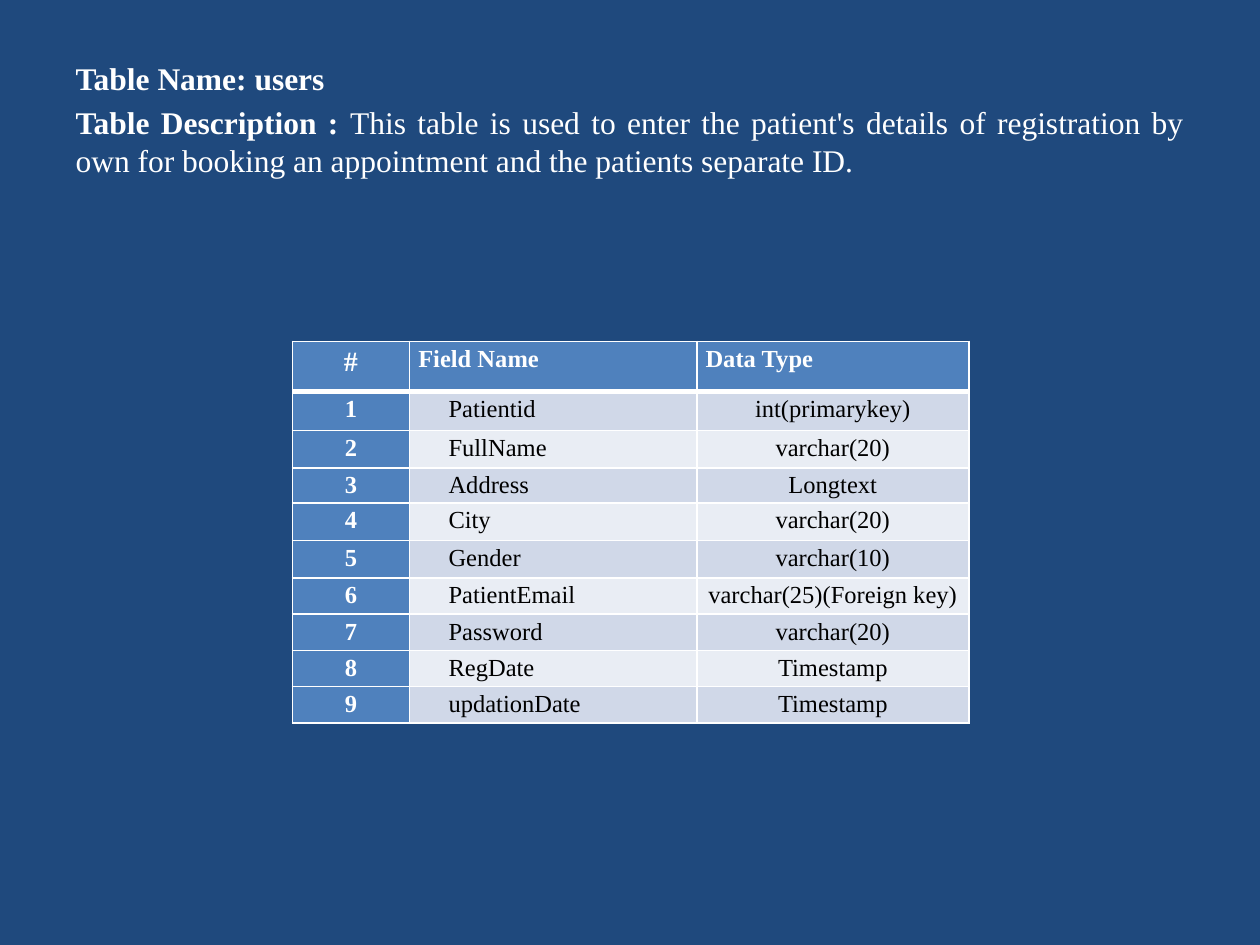
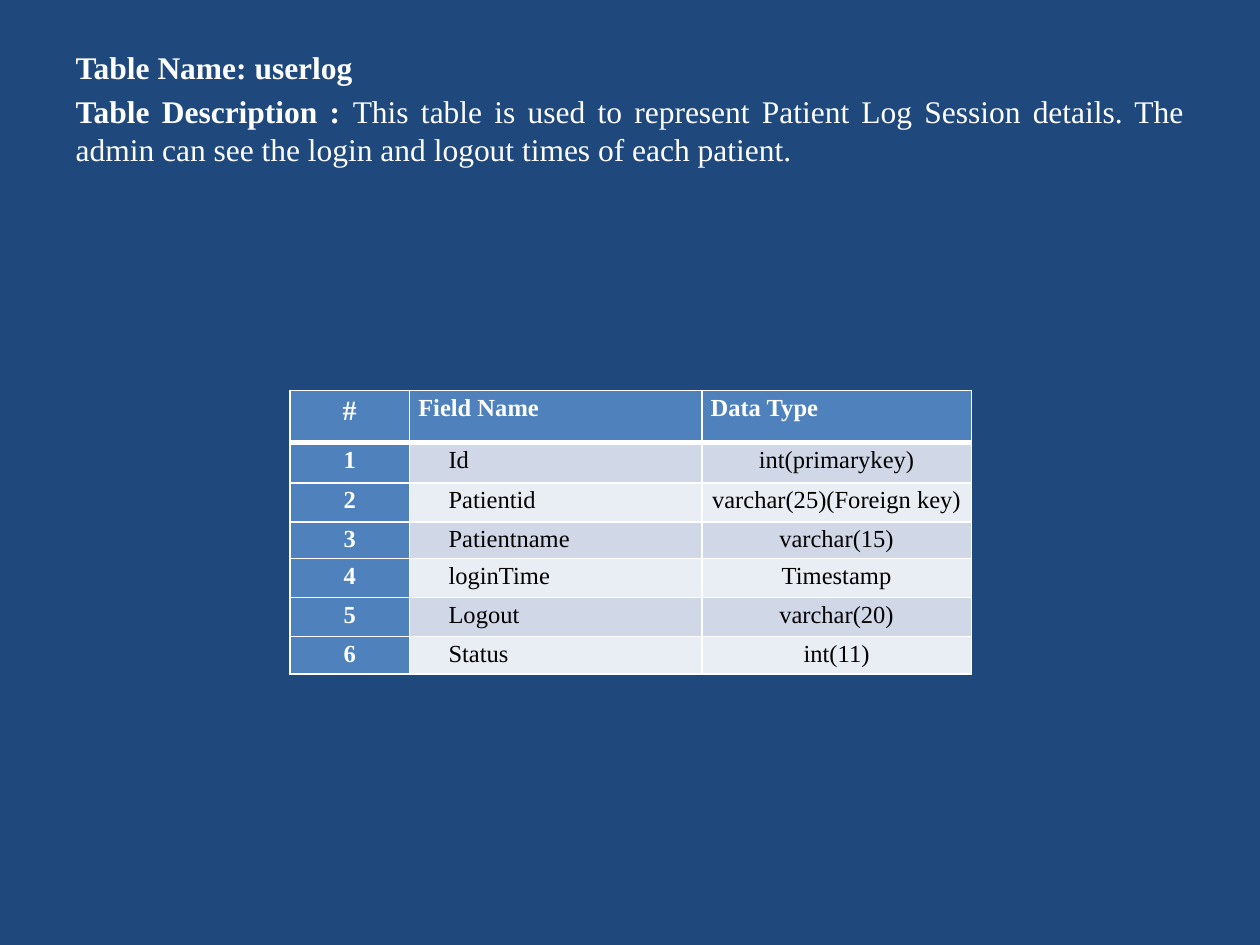
from lxml.etree import SubElement
from pptx import Presentation
from pptx.dml.color import RGBColor
from pptx.enum.text import MSO_ANCHOR, PP_ALIGN
from pptx.oxml.ns import qn
from pptx.util import Inches, Pt

NAVY = RGBColor(0x1F, 0x49, 0x7D)
BLUE = RGBColor(0x4F, 0x81, 0xBD)
BAND_DARK = RGBColor(0xD0, 0xD8, 0xE8)
BAND_LIGHT = RGBColor(0xE9, 0xED, 0xF4)
WHITE = RGBColor(0xFF, 0xFF, 0xFF)
BLACK = RGBColor(0, 0, 0)

FONT = "Times New Roman"
WIDTH, HEIGHT = 10, 7.5
ROW_WEIGHTS = (40, 31, 30, 28, 30, 30, 29, 29, 29, 29)
HEADINGS = ("#", "Field Name", "Data Type")
CELL_MARGIN, FIELD_INDENT = 0.07, 0.24
THIN, THICK = 1, 3

USERS = {
    "name": "users",
    "description": "This table is used to enter the patient's details of registration by own "
                   "for booking an appointment and the patients separate ID.",
    "fields": (
        ("Patientid", "int(primarykey)"),
        ("FullName", "varchar(20)"),
        ("Address", "Longtext"),
        ("City", "varchar(20)"),
        ("Gender", "varchar(10)"),
        ("PatientEmail", "varchar(25)(Foreign key)"),
        ("Password", "varchar(20)"),
        ("RegDate", "Timestamp"),
        ("updationDate", "Timestamp"),
    ),
    "text_top": 0.42,
    "grid_box": (2.32, 2.71, 5.37, 3.03),
    "column_weights": (93, 228, 216),
}
USERLOG = {
    "name": "userlog",
    "description": "This table is used to represent Patient Log Session details. The admin can "
                   "see the login and logout times of each patient.",
    "fields": (
        ("Id", "int(primarykey)"),
        ("Patientid", "varchar(25)(Foreign key)"),
        ("Patientname", "varchar(15)"),
        ("loginTime", "Timestamp"),
        ("Logout", "varchar(20)"),
        ("Status", "int(11)"),
    ),
    "text_top": 0.33,
    "grid_box": (2.3, 3.1, 5.41, 2.25),
    "column_weights": (95, 232, 214),
}


def style_font(font, size, color, bold=None):
    """Apply the common typeface with a size, colour and weight."""
    font.name, font.size, font.bold = FONT, Pt(size), bold
    font.color.rgb = color


def add_borders(cell, top, bottom):
    """Draw white borders around a cell, with its top and bottom widths in points."""
    properties = cell._tc.get_or_add_tcPr()
    for side, width in zip("LRTB", (THIN, THIN, top, bottom)):
        line = SubElement(properties, qn(f"a:ln{side}"), w=str(Pt(width)))
        fill = SubElement(line, qn("a:solidFill"))
        SubElement(fill, qn("a:srgbClr"), val=str(WHITE))


def add_description(slide, box, name, description):
    """Fill the body placeholder with the table's name and purpose."""
    body = slide.placeholders[1]
    body.left, body.top, body.width, body.height = map(Inches, box)
    frame = body.text_frame
    frame.vertical_anchor = MSO_ANCHOR.TOP
    lines = ((f"Table Name: {name}", ""), ("Table Description : ", description))
    for number, (label, detail) in enumerate(lines):
        paragraph = frame.add_paragraph() if number else frame.paragraphs[0]
        paragraph.alignment = PP_ALIGN.JUSTIFY
        style_font(paragraph.font, 18, WHITE)
        properties = paragraph._p.get_or_add_pPr()
        properties.set("marL", "0")
        properties.set("indent", "0")
        properties.insert_element_before(properties.makeelement(qn("a:buNone")), "a:defRPr")
        for text, bold in ((label, True), (detail, False)):
            if text:
                run = paragraph.add_run()
                run.text, run.font.bold = text, bold


def fill_cell(cell, text, row, column):
    """Write and style one cell according to its place in the grid."""
    is_heading, is_number = row == 0, column == 0
    is_field = column == 1 and not is_heading
    is_strong = is_heading or is_number
    cell.margin_left = Inches(CELL_MARGIN + FIELD_INDENT * is_field)
    cell.margin_right = Inches(CELL_MARGIN)
    cell.margin_top = cell.margin_bottom = 0
    add_borders(cell, THICK if row == 1 else THIN, THICK if is_heading else THIN)
    cell.fill.solid()
    band = BAND_DARK if row % 2 else BAND_LIGHT
    cell.fill.fore_color.rgb = BLUE if is_strong else band
    cell.text = text
    paragraph = cell.text_frame.paragraphs[0]
    paragraph.line_spacing = 1.15
    is_centred = is_number or (column == 2 and not is_heading)
    paragraph.alignment = PP_ALIGN.CENTER if is_centred else PP_ALIGN.LEFT
    style_font(paragraph.font, 16 if is_heading and is_number else 14,
               WHITE if is_strong else BLACK, is_strong)


def add_field_grid(slide, box, fields, column_weights):
    """Lay out the numbered fields and their data types within a box."""
    left, top, width, height = map(Inches, box)
    rows = [HEADINGS] + [(str(i), *field) for i, field in enumerate(fields, 1)]
    grid = slide.shapes.add_table(len(rows), len(HEADINGS), left, top, width, height).table
    grid.horz_banding = False
    row_weights = ROW_WEIGHTS[:len(rows)]
    for column, weight in zip(grid.columns, column_weights):
        column.width = int(width * weight / sum(column_weights))
    for row, weight in zip(grid.rows, row_weights):
        row.height = int(height * weight / sum(row_weights))
    for r, texts in enumerate(rows):
        for c, text in enumerate(texts):
            fill_cell(grid.cell(r, c), text, r, c)


def add_schema_slide(deck, schema):
    """Add a slide that describes one database table."""
    slide = deck.slides.add_slide(deck.slide_layouts[1])
    title = slide.shapes.title.element
    title.getparent().remove(title)
    side, top, bottom = WIDTH * 0.05, schema["text_top"], 6.7
    text_box = (side, top, WIDTH - 2 * side, bottom - top)
    add_description(slide, text_box, schema["name"], schema["description"])
    add_field_grid(slide, schema["grid_box"], schema["fields"], schema["column_weights"])


def main():
    """Build and save the deck."""
    deck = Presentation()
    deck.slide_width, deck.slide_height = Inches(WIDTH), Inches(HEIGHT)
    background = deck.slide_master.background.fill
    background.solid()
    background.fore_color.rgb = NAVY
    for schema in (USERS, USERLOG):
        add_schema_slide(deck, schema)
    deck.save("out.pptx")


if __name__ == "__main__":
    main()
